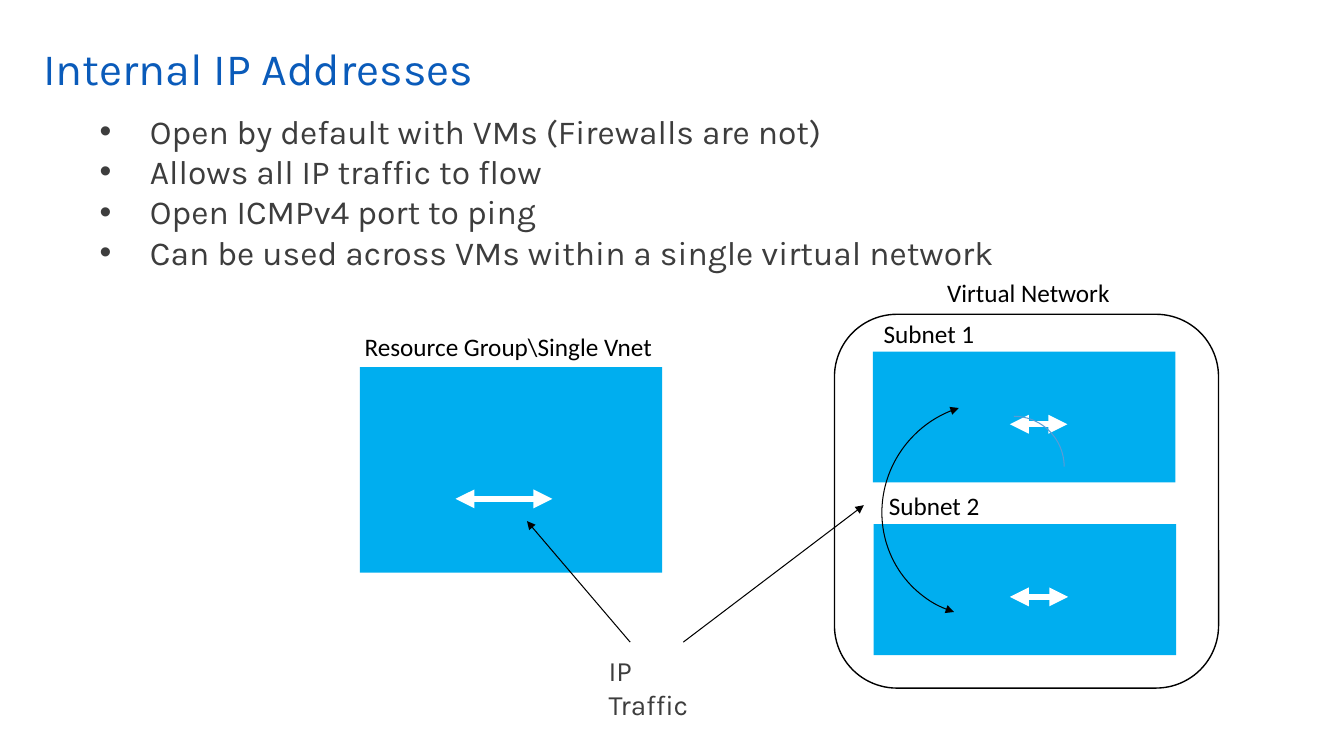
from dataclasses import dataclass

from lxml.etree import SubElement
from pptx import Presentation
from pptx.dml.color import RGBColor
from pptx.enum.shapes import MSO_CONNECTOR, MSO_SHAPE
from pptx.enum.text import MSO_ANCHOR
from pptx.oxml.ns import qn
from pptx.util import Cm, Pt

WHITE = RGBColor(0xFF, 0xFF, 0xFF)
BLACK = RGBColor(0x00, 0x00, 0x00)
TITLE_BLUE = RGBColor(0x0A, 0x5B, 0xBA)
SUBNET_BLUE = RGBColor(0x00, 0xAE, 0xEF)
ARC_BLUE = RGBColor(0x5B, 0x9B, 0xD5)
GREY = RGBColor(0x3D, 0x3D, 0x3D)
BULLET_INDENT = Cm(1.27)


@dataclass
class Label:
    text: str
    x: float
    y: float
    w: float


@dataclass
class Block:
    x: float
    y: float
    w: float
    h: float
    kind: MSO_SHAPE = MSO_SHAPE.RECTANGLE
    fill: RGBColor | None = SUBNET_BLUE
    line: RGBColor | None = None
    weight: float = 0.75
    adj: tuple[float, ...] = ()
    rotation: float = 0
    arrows: tuple[str, ...] = ()


@dataclass
class Arrow:
    x1: float
    y1: float
    x2: float
    y2: float
    color: RGBColor = BLACK
    weight: float = 0.75
    ends: tuple[str, ...] = ("tailEnd",)


BOTH_ENDS = ("headEnd", "tailEnd")

BULLETS = [
    "Open by default with VMs (Firewalls are not)",
    "Allows all IP traffic to flow",
    "Open ICMPv4 port to ping",
    "Can be used across VMs within a single virtual network",
]
BLOCKS = [
    Block(9.07, 9.25, 7.62, 5.18),
    Block(21.03, 7.92, 9.68, 9.42, MSO_SHAPE.ROUNDED_RECTANGLE, WHITE, BLACK, 1, (0.167,)),
    Block(22.02, 13.21, 7.62, 3.3),
    Block(22, 8.86, 7.62, 3.3),
]
ARCS = [
    Block(24.28, 10.49, 2.54, 2.54, MSO_SHAPE.ARC, None, ARC_BLUE, adj=(162, 0)),
    Block(22.25, 10.13, 5.31, 5.44, MSO_SHAPE.ARC, None, BLACK,
          adj=(149.518, 20.662), rotation=219.4, arrows=BOTH_ENDS),
]
TRAFFIC_ARROWS = [
    Arrow(x1, y, x2, y, WHITE, 4.5, BOTH_ENDS)
    for x1, x2, y in [(13.92, 11.48, 12.57), (26.92, 25.45, 15.04), (26.9, 25.45, 10.69)]
]
CALLOUTS = [Arrow(15.88, 16.18, 13.28, 13.13), Arrow(17.22, 16.18, 21.77, 12.73)]
LABELS = [
    Label("Resource Group\\Single Vnet", 8.94, 8.23, 7.85),
    Label("Subnet 1", 22.02, 7.9, 2.82),
    Label("Subnet 2", 22.15, 12.22, 2.82),
    Label("Virtual Network", 23.62, 6.86, 4.65),
]


def add_bullet(p) -> None:
    pPr = p._p.get_or_add_pPr()
    pPr.set("marL", str(BULLET_INDENT))
    pPr.set("indent", str(-BULLET_INDENT))
    color = SubElement(pPr, qn("a:buClr"))
    SubElement(color, qn("a:srgbClr"), val=str(GREY))
    SubElement(pPr, qn("a:buFont"), typeface="Arial")
    SubElement(pPr, qn("a:buChar"), char="•")


def add_text(s, text: str, x: float, y: float, w: float, h: float, *,
             font: str = "Karla", size: float = 20, color: RGBColor = GREY,
             inset: tuple[float, float] = (0, 0), bullets: bool = False,
             anchor: MSO_ANCHOR = MSO_ANCHOR.TOP, spacing: float | None = None) -> None:
    tf = s.shapes.add_textbox(Cm(x), Cm(y), Cm(w), Cm(h)).text_frame
    tf.word_wrap = True
    tf.vertical_anchor = anchor
    tf.margin_left = tf.margin_right = Cm(inset[0])
    tf.margin_top = tf.margin_bottom = Cm(inset[1])
    tf.text = text
    for p in tf.paragraphs:
        if spacing:
            p.line_spacing = spacing
        if bullets:
            add_bullet(p)
        for r in p.runs:
            r.font.name = font
            r.font.size = Pt(size)
            r.font.color.rgb = color


def style_line(line, color: RGBColor, weight: float, ends: tuple[str, ...]) -> None:
    line.color.rgb = color
    line.width = Pt(weight)
    for end in ends:
        SubElement(line._get_or_add_ln(), qn(f"a:{end}"), type="triangle")


def add_block(s, b: Block) -> None:
    sp = s.shapes.add_shape(b.kind, Cm(b.x), Cm(b.y), Cm(b.w), Cm(b.h))
    sp.shadow.inherit = False
    sp.rotation = b.rotation
    for i, value in enumerate(b.adj):
        sp.adjustments[i] = value
    if b.fill is None:
        sp.fill.background()
    else:
        sp.fill.solid()
        sp.fill.fore_color.rgb = b.fill
    if b.line is None:
        sp.line.fill.background()
    else:
        style_line(sp.line, b.line, b.weight, b.arrows)


def add_arrow(s, a: Arrow) -> None:
    cxn = s.shapes.add_connector(
        MSO_CONNECTOR.STRAIGHT, Cm(a.x1), Cm(a.y1), Cm(a.x2), Cm(a.y2))
    style_line(cxn.line, a.color, a.weight, a.ends)
    SubElement(cxn._element.spPr, qn("a:effectLst"))


def main() -> None:
    prs = Presentation()
    prs.slide_width, prs.slide_height = Cm(33.87), Cm(19.05)
    s = prs.slides.add_slide(prs.slide_layouts[6])

    add_text(s, "Internal IP Addresses", 0.84, 0.84, 31.32, 1.9, size=32, color=TITLE_BLUE,
             inset=(0.25, 0.13), anchor=MSO_ANCHOR.MIDDLE, spacing=0.9)
    add_text(s, "\n".join(BULLETS), 2.51, 2.79, 23.09, 4.11, size=24, bullets=True)
    for block in BLOCKS:
        add_block(s, block)
    for arrow in TRAFFIC_ARROWS:
        add_arrow(s, arrow)
    for label in LABELS:
        add_text(s, label.text, label.x, label.y, label.w, 1.02,
                 font="Calibri", size=18, color=BLACK, inset=(0.25, 0.13))
    for arc in ARCS:
        add_block(s, arc)
    add_text(s, "IP Traffic", 15.34, 16.48, 2.72, 0.86)
    for arrow in CALLOUTS:
        add_arrow(s, arrow)

    prs.save("out.pptx")


if __name__ == "__main__":
    main()
